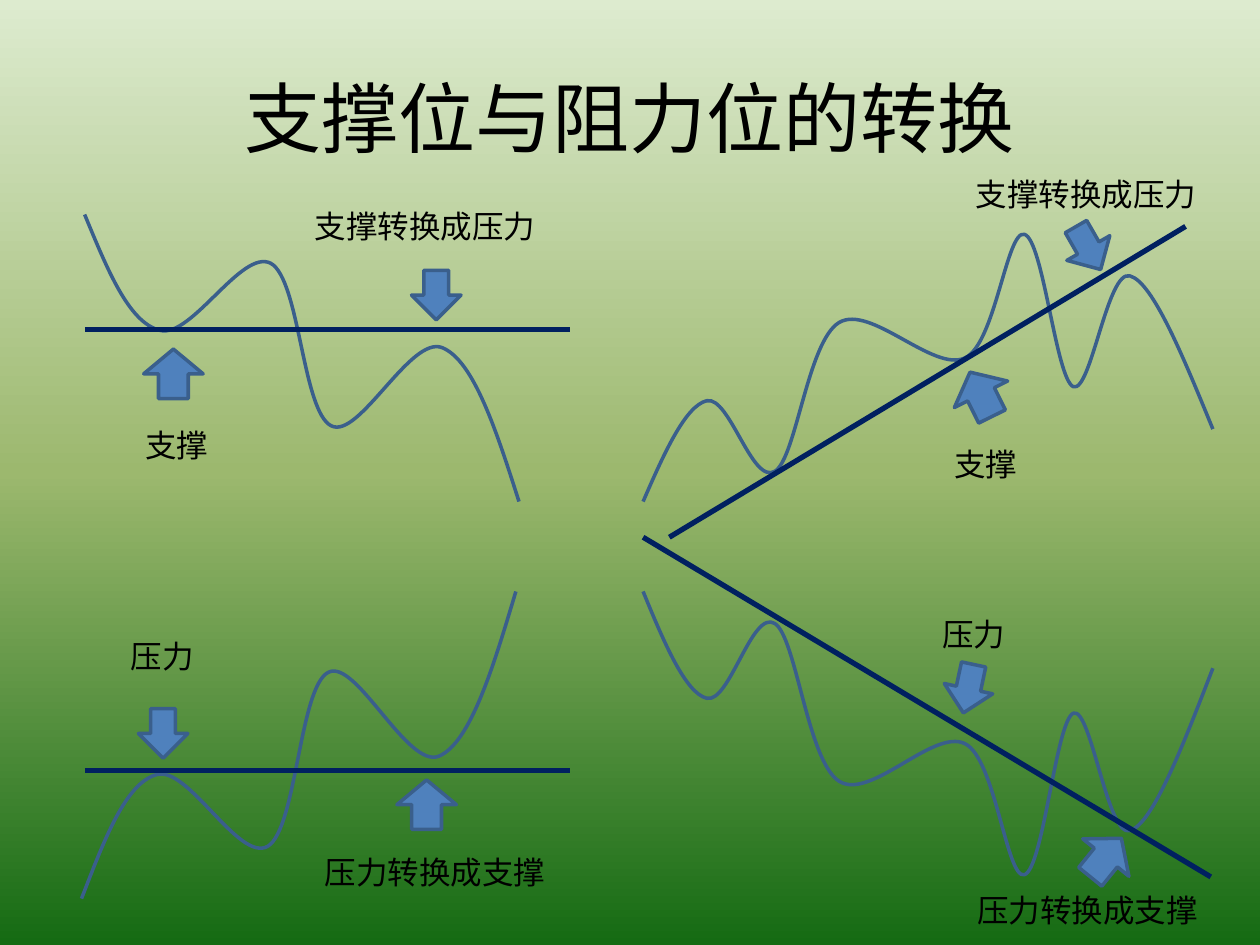
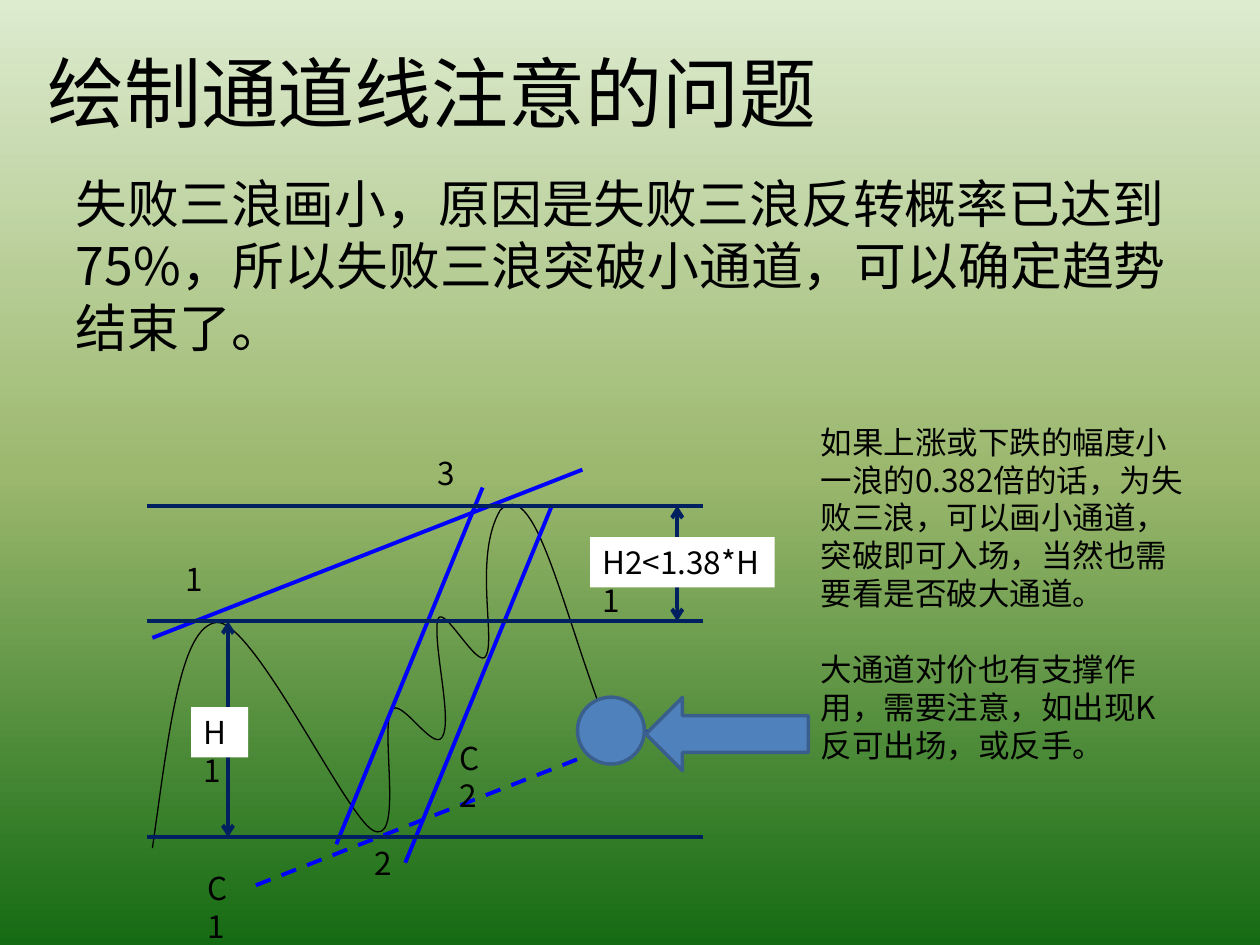
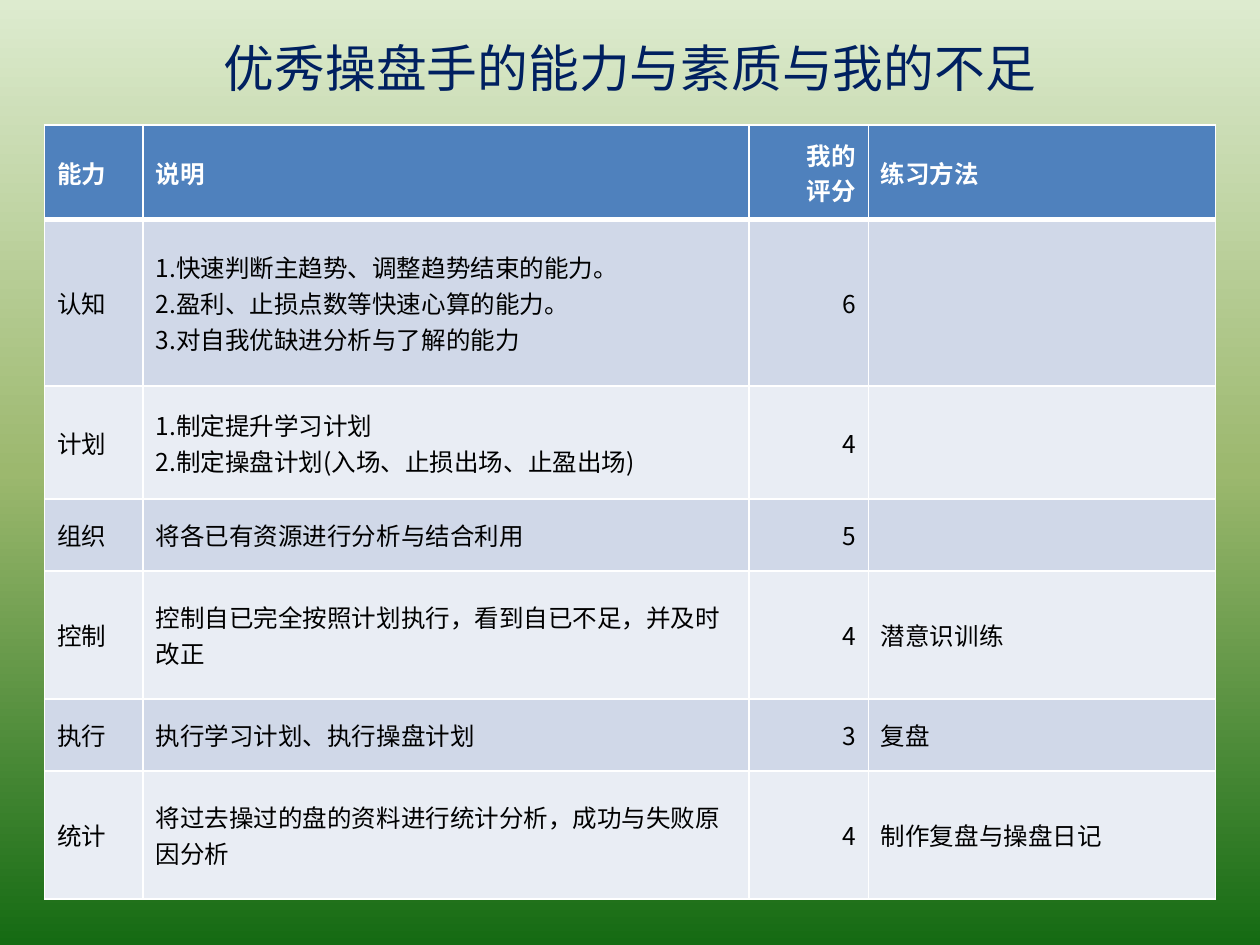
import copy
from dataclasses import dataclass

import lxml.etree
import pptx
import pptx.dml.color
import pptx.enum.dml
import pptx.enum.shapes
import pptx.enum.text
import pptx.oxml.ns
import pptx.util

Pt = pptx.util.Pt
qn = pptx.oxml.ns.qn
Preset = pptx.enum.shapes.MSO_SHAPE
Align = pptx.enum.text.PP_ALIGN
Anchor = pptx.enum.text.MSO_ANCHOR

FONT = "Noto Sans CJK SC"
BLACK, WHITE, NAVY, BLUE = "000000", "FFFFFF", "002060", "0000FF"
ACCENT, ACCENT_EDGE = "4F81BD", "3A5F8C"
BANDS = ("D0D8E8", "E9EDF4")
BACKDROP = ((0, "DDEBCF"), (0.5, "9CB86E"), (1, "156B13"))
LABEL_HEIGHT = 28.8
LINE_RATIO = 1.2

Point = tuple[float, float]


@dataclass
class Label:
    """A short note beside a drawing."""
    text: str
    left: float
    top: float
    width: float
    fill: str | None = None


@dataclass
class Marker:
    """A filled shape that marks a price level."""
    preset: Preset
    left: float
    top: float
    width: float
    height: float
    turn: float = 0


@dataclass
class Trend:
    """A straight line between two points."""
    start: Point
    end: Point
    color: str = NAVY
    weight: float = 2.25
    dashed: bool = False
    arrows: bool = False


def rgb(color: str) -> pptx.dml.color.RGBColor:
    """Turn a hex string into a colour."""
    return pptx.dml.color.RGBColor.from_string(color)


def paint_backdrop(master) -> None:
    """Give the slide master the shared three-stop gradient."""
    fill = master.background.fill
    fill.gradient()
    fill.gradient_angle = 270
    stops = next(master._element.iter(qn("a:gsLst")))
    stops.insert(1, copy.deepcopy(stops[0]))
    for stop, (position, color) in zip(fill.gradient_stops, BACKDROP):
        stop.position = position
        stop.color.rgb = rgb(color)


def style_text(frame, size: float, color: str = BLACK, align=Align.LEFT,
               bold: bool = False, spacing: float | None = None) -> None:
    """Format every paragraph and run of a text frame."""
    for paragraph in frame.paragraphs:
        paragraph.alignment = align
        paragraph._p.get_or_add_pPr().set("hangingPunct", "0")
        if spacing:
            paragraph.line_spacing = Pt(spacing)
        for run in paragraph.runs:
            run.font.size = Pt(size)
            run.font.bold = bold
            run.font.color.rgb = rgb(color)
            run.font.name = FONT
            latin = run._r.rPr.find(qn("a:latin"))
            latin.addnext(lxml.etree.Element(qn("a:ea"), typeface=FONT))


def add_text(slide, text: str, left: float, top: float, width: float, height: float,
             size: float = 18, fill: str | None = None):
    """Add a wrapped text box and return its frame."""
    if fill:
        box = slide.shapes.add_shape(Preset.RECTANGLE, Pt(left), Pt(top), Pt(width), Pt(height))
        box.shadow.inherit = False
        box.fill.solid()
        box.fill.fore_color.rgb = rgb(fill)
        box.line.fill.background()
    else:
        box = slide.shapes.add_textbox(Pt(left), Pt(top), Pt(width), Pt(height))
    frame = box.text_frame
    frame.word_wrap = True
    frame.vertical_anchor = Anchor.TOP
    frame.text = text
    style_text(frame, size, spacing=size * LINE_RATIO)
    return frame


def add_title(slide, text: str, left: float, width: float, height: float,
              size: float = 44, color: str = BLACK, align=Align.CENTER) -> None:
    """Add a slide title, centred on its height."""
    box = slide.shapes.add_textbox(Pt(left), Pt(21.6), Pt(width), Pt(height))
    frame = box.text_frame
    frame.word_wrap = True
    frame.vertical_anchor = Anchor.MIDDLE
    frame.text = text
    style_text(frame, size, color, align)


def add_label(slide, label: Label) -> None:
    """Draw one label."""
    add_text(slide, label.text, label.left, label.top, label.width, LABEL_HEIGHT, fill=label.fill)


def add_marker(slide, marker: Marker) -> None:
    """Draw one filled marker."""
    shape = slide.shapes.add_shape(marker.preset, Pt(marker.left), Pt(marker.top),
                                   Pt(marker.width), Pt(marker.height))
    shape.shadow.inherit = False
    shape.rotation = marker.turn
    shape.fill.solid()
    shape.fill.fore_color.rgb = rgb(ACCENT)
    shape.line.color.rgb = rgb(ACCENT_EDGE)
    shape.line.width = Pt(2)


def add_trend(slide, trend: Trend) -> None:
    """Draw one straight line."""
    connector = slide.shapes.add_connector(pptx.enum.shapes.MSO_CONNECTOR.STRAIGHT,
                                           *map(Pt, trend.start + trend.end))
    connector.line.color.rgb = rgb(trend.color)
    connector.line.width = Pt(trend.weight)
    if trend.dashed:
        connector.line.dash_style = pptx.enum.dml.MSO_LINE.DASH
    if trend.arrows:
        for end in ("a:headEnd", "a:tailEnd"):
            lxml.etree.SubElement(connector.line._ln, qn(end), type="arrow")
    lxml.etree.SubElement(connector._element.spPr, qn("a:effectLst"))


def add_wave(slide, points: list[Point], color: str = ACCENT_EDGE, weight: float = 2) -> None:
    """Draw a price wave as a chain of cubic curves through every third point."""
    places = [(Pt(x), Pt(y)) for x, y in points]
    builder = slide.shapes.build_freeform(*places[0])
    builder.add_line_segments(places[3::3], close=False)
    wave = builder.convert_to_shape()
    segments = list(wave._element.iter(qn("a:lnTo")))
    for index, segment in enumerate(segments):
        curve = lxml.etree.Element(qn("a:cubicBezTo"))
        for x, y in places[3 * index + 1:3 * index + 4]:
            lxml.etree.SubElement(curve, qn("a:pt"), x=str(x - wave.left), y=str(y - wave.top))
        segment.getparent().replace(segment, curve)
    wave.shadow.inherit = False
    wave.fill.background()
    wave.line.color.rgb = rgb(color)
    wave.line.width = Pt(weight)


def mirror(points: list[Point], shift: float, stretch: float) -> list[Point]:
    """Flip an upper wave into the lower half of the slide."""
    return [(x + shift, 338 + (286.6 - y) * stretch) for x, y in points]


def set_borders(cell, top: float, bottom: float) -> None:
    """Draw white borders round a cell."""
    properties = cell._tc.get_or_add_tcPr()
    for index, (side, weight) in enumerate((("L", 1), ("R", 1), ("T", top), ("B", bottom))):
        edge = lxml.etree.Element(qn(f"a:ln{side}"), w=str(Pt(weight)))
        solid = lxml.etree.SubElement(edge, qn("a:solidFill"))
        lxml.etree.SubElement(solid, qn("a:srgbClr"), val=WHITE)
        properties.insert(index, edge)


def add_score_table(slide, rows: list[tuple[str, ...]], widths: list[float],
                    heights: list[float]) -> None:
    """Draw the banded score table with its header row."""
    table = slide.shapes.add_table(len(rows), len(widths), Pt(25.5), Pt(71.5),
                                   Pt(sum(widths)), Pt(sum(heights))).table
    for column, width in zip(table.columns, widths):
        column.width = Pt(width)
    for row, height in zip(table.rows, heights):
        row.height = Pt(height)
    for r, texts in enumerate(rows):
        header = r == 0
        for c, text in enumerate(texts):
            cell = table.cell(r, c)
            cell.fill.solid()
            cell.fill.fore_color.rgb = rgb(ACCENT if header else BANDS[(r - 1) % 2])
            cell.vertical_anchor = Anchor.MIDDLE
            set_borders(cell, 3 if r == 1 else 1, 3 if header else 1)
            if text:
                cell.text_frame.text = text
                style_text(cell.text_frame, 14, WHITE if header else BLACK,
                           Align.RIGHT if c == 2 else Align.LEFT, header)


def build_conversion(slide) -> None:
    """Support and resistance changing roles."""
    add_title(slide, "支撑位与阻力位的转换", 36, 648, 90)
    level_wave = [
        (48.4, 122.6), (61.2, 153.4), (73.4, 184.3), (91.4, 188.8),
        (109.4, 193.7), (138.2, 141.8), (154.8, 150.5),
        (171.4, 159.8), (172.8, 235.4), (189.4, 243.4),
        (205.2, 251.3), (234.7, 191.5), (252.7, 198.7),
        (270.7, 205.9), (283.7, 246.2), (296.6, 286.6)]
    rising_wave = [
        (367.5, 286.6), (379.4, 259.2), (391.7, 231.8), (403.9, 229),
        (416.9, 226.1), (429.8, 277.2), (442.8, 269.3),
        (455, 262.1), (461.5, 195.1), (479.5, 184.3),
        (497.5, 173.5), (533.5, 213.1), (551.5, 204.5),
        (568.8, 196.6), (575.3, 131), (585.4, 133.9),
        (596.2, 136.8), (603.4, 216.7), (613.4, 221),
        (623.5, 224.6), (632.9, 153.4), (645.8, 157.7),
        (658.8, 161.3), (676.1, 203.8), (693.1, 245.2)]
    for wave in (level_wave, rising_wave,
                 mirror(level_wave, -1.8, 1.07), mirror(rising_wave, 0, 1.06)):
        add_wave(slide, wave)
    for start, end in (((48.5, 188.4), (325.9, 188.4)), ((382.5, 307), (677.5, 129.4)),
                       ((367.5, 307), (691.9, 501.1)), ((48.5, 440.2), (325.9, 440.2))):
        add_trend(slide, Trend(start, end, weight=3))
    for left, top, turn in ((82.1, 199.5, 0), (543.6, 211.2, -26.4),
                            (226.8, 445.7, 0), (614.9, 475.9, 39)):
        add_marker(slide, Marker(Preset.UP_ARROW, left, top, 34, 28.3, turn))
    for left, top, turn in ((235.2, 154.5, 0), (607.8, 127.6, -29.9),
                            (79.1, 405, 0), (539.3, 379.4, 12)):
        add_marker(slide, Marker(Preset.DOWN_ARROW, left, top, 28.3, 28.3, turn))
    for text, left, top in (
            ("支撑", 75.8, 240.1), ("支撑转换成压力", 172.8, 114.5),
            ("支撑", 538.2, 250.6), ("支撑转换成压力", 550.4, 96.5),
            ("压力", 67.7, 360.7), ("压力转换成支撑", 178.6, 483.8),
            ("压力转换成支撑", 551.5, 505.4), ("压力", 531.4, 347.8)):
        add_label(slide, Label(text, left, top, 18 * len(text) + 15.5))


def build_channel(slide) -> None:
    """Drawing channel lines round a failed third wave."""
    add_title(slide, "绘制通道线注意的问题", 19.8, 664.6, 61.2, align=Align.LEFT)
    reason = add_text(
        slide, "失败三浪画小，原因是失败三浪反转概率已达到75%，所以失败三浪突破小通道，可以确定趋势结束了。",
        36.2, 94.5, 648, 96.5, 29.6)
    reason.paragraphs[0].space_before = Pt(4)
    add_wave(slide, [
        (87.1, 484.6), (96.5, 418.3), (103, 357.8), (123.8, 355.7),
        (144.7, 354.2), (197.3, 465.8), (213.1, 474.5),
        (229.7, 483.1), (218.9, 426.2), (222.5, 409),
        (225.4, 391.7), (247, 430.6), (252.7, 421.2),
        (258.5, 411.8), (248.4, 373), (249.8, 356.4),
        (250.6, 339.1), (273.6, 385.2), (277.9, 374.4),
        (283, 363.6), (270.7, 317.5), (285.8, 291.6),
        (305.3, 271.4), (320.4, 344.9), (344.9, 409.7)], BLACK, 0.75)
    for label in (Label("1", 99.1, 316.5, 24.5), Label("2", 207, 478.8, 24.5),
                  Label("3", 243, 256.1, 24.5)):
        add_label(slide, label)
    peak, base, summit = 355, 478.5, 289
    for trend in (Trend((332.8, 268.4), (87.1, 364.5), BLUE),
                  Trend((388.1, 411.1), (141.8, 507.6), BLUE, dashed=True),
                  Trend((275.8, 278.6), (192.2, 482.4), BLUE),
                  Trend((315.4, 288.9), (231.6, 493), BLUE)):
        add_trend(slide, trend)
    for label in (Label("C1", 111.6, 493.2, 32.4), Label("C2", 255.6, 418.5, 32.4)):
        add_label(slide, label)
    for level in (summit, base, peak):
        add_trend(slide, Trend((84.2, level), (401.8, level)))
    for x, top, bottom in ((130.3, peak, base), (387, summit, peak)):
        add_trend(slide, Trend((x, top), (x, bottom), arrows=True))
    for label in (Label("H1", 109.2, 404.1, 32.6, WHITE),
                  Label("H2<1.38*H1", 337.2, 306.9, 105.5, WHITE)):
        add_label(slide, label)
    add_marker(slide, Marker(Preset.OVAL, 330, 398.4, 38.2, 38.2))
    add_marker(slide, Marker(Preset.DOWN_ARROW, 394.6, 373, 41.8, 92.9, 90))
    for text, top, height in (
            ("如果上涨或下跌的幅度小一浪的0.382倍的话，为失败三浪，可以画小通道，突破即可入场，"
             "当然也需要看是否破大通道。", 238.1, 115.9),
            ("大通道对价也有支撑作用，需要注意，如出现K反可出场，或反手。", 367.9, 72.7)):
        add_text(slide, text, 461.8, top, 221.8, height)


def build_scores(slide) -> None:
    """Trader abilities with scores and exercises."""
    add_title(slide, "优秀操盘手的能力与素质与我的不足", 36.2, 648, 33.1, 29, NAVY)
    add_score_table(slide, [
        ("能力", "说明", "我的\n评分", "练习方法"),
        ("认知", "1.快速判断主趋势、调整趋势结束的能力。\n2.盈利、止损点数等快速心算的能力。\n"
                 "3.对自我优缺进分析与了解的能力", "6", ""),
        ("计划", "1.制定提升学习计划\n2.制定操盘计划(入场、止损出场、止盈出场)", "4", ""),
        ("组织", "将各已有资源进行分析与结合利用", "5", ""),
        ("控制", "控制自已完全按照计划执行，看到自已不足，并及时改正", "4", "潜意识训练"),
        ("执行", "执行学习计划、执行操盘计划", "3", "复盘"),
        ("统计", "将过去操过的盘的资料进行统计分析，成功与失败原因分析", "4", "制作复盘与操盘日记"),
    ], [56.2, 346.3, 68.2, 198.5], [54, 95, 64.8, 41, 73.2, 41, 73.2])


presentation = pptx.Presentation()
presentation.slide_width, presentation.slide_height = Pt(720), Pt(540)
paint_backdrop(presentation.slide_master)
for build in (build_conversion, build_channel, build_scores):
    build(presentation.slides.add_slide(presentation.slide_layouts[6]))
presentation.save("out.pptx")
